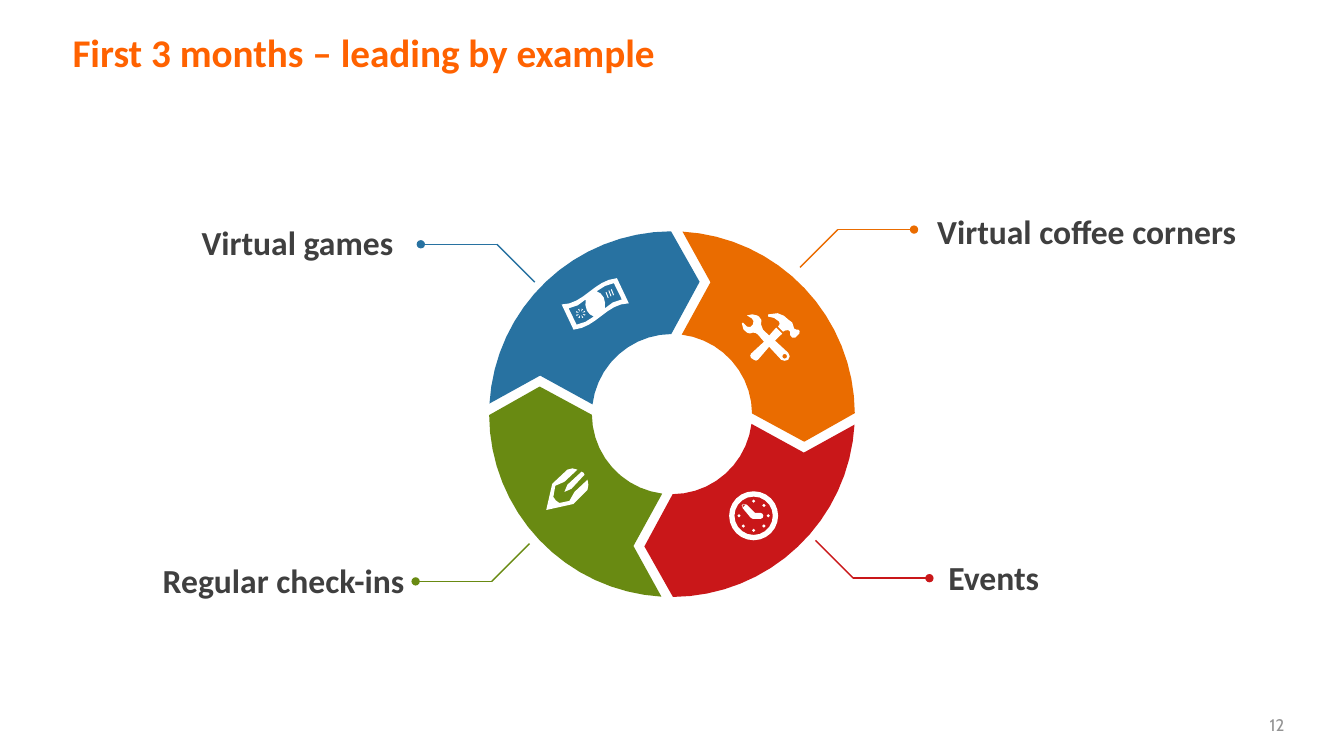
from dataclasses import dataclass
from math import cos, radians, sin

from lxml import etree
from pptx import Presentation
from pptx.dml.color import RGBColor
from pptx.enum.shapes import MSO_CONNECTOR
from pptx.enum.text import MSO_ANCHOR, MSO_AUTO_SIZE, PP_ALIGN
from pptx.oxml.ns import qn
from pptx.util import Pt

STRAIGHT = MSO_CONNECTOR.STRAIGHT
TOP, MIDDLE = MSO_ANCHOR.TOP, MSO_ANCHOR.MIDDLE
FIT_SHAPE, NO_FIT = MSO_AUTO_SIZE.SHAPE_TO_FIT_TEXT, MSO_AUTO_SIZE.NONE
LEFT, CENTER, RIGHT = PP_ALIGN.LEFT, PP_ALIGN.CENTER, PP_ALIGN.RIGHT

Point = tuple[float, float]
Contour = list[Point]

RING_CENTER = (480, 295.8)
OUTER_RADIUS, INNER_RADIUS = 130.6, 57.2
CALLOUT_RISE, CALLOUT_RUN = 27, 54.4


@dataclass
class Topic:
    label: str
    color: str
    quarter: int
    callout_start: Point
    side: int
    rise: int
    label_box: tuple[float, float, float, float]
    icon_center: Point
    icon: list[Contour]


def arc(radius: float, start: float, end: float, steps: int, center: Point = (0, 0)) -> Contour:
    angles = [radians(start + (end - start) * i / steps) for i in range(steps + 1)]
    return [(center[0] + radius * cos(a), center[1] + radius * sin(a)) for a in angles]


def circle(radius: float, steps: int, center: Point = (0, 0)) -> Contour:
    return arc(radius, 0, 360, steps, center)[:-1]


def bezier(a: Point, b: Point, c: Point, d: Point, steps: int) -> Contour:
    times = [i / steps for i in range(steps + 1)]
    return [tuple((1 - t) ** 3 * p + 3 * (1 - t) ** 2 * t * q + 3 * (1 - t) * t * t * r + t ** 3 * s
                  for p, q, r, s in zip(a, b, c, d)) for t in times]


def opposite(contour: Contour) -> Contour:
    return [(-x, -y) for x, y in contour]


def clock() -> list[Contour]:
    hands = [(5, -2), (1, -2), (-5, -8), (-7.2, -8.2), (-8.2, -6.8), (-7.8, -5.4),
             (-2, 1.5), (-0.5, 2.2), (5, 2.2), (6.6, 1.4), (6.9, 0), (6.4, -1.4)]
    dots = [circle(1.2, 4, (10.4 * cos(radians(a)), 10.4 * sin(radians(a))))
            for a in range(0, 360, 45)]
    return [circle(17.5, 24), circle(13.7, 20), hands, *dots]


def banknote() -> list[Contour]:
    edge = bezier((24, -0.4), (8.3, -0.4), (1, 16.9), (-15.5, 18.4), 8)
    window = [(-13.3, 14.8), (-7, 12.8), (-1, 9), (-3.8, 7.5), (-6, 4.7), (-7, 0.8),
              (-6.8, -3.2), (-12.5, 1), (-19, 3.2)]
    rays = []
    for angle in range(20, 380, 45):
        ux, uy = cos(radians(angle)), sin(radians(angle))
        rays.append([(-10.4 + r * ux - w * uy, 6.8 + r * uy + w * ux)
                     for r, w in ((1.4, 0), (3.4, 0.5), (3.4, -0.5))])
    bars = [[(x, y), (x + 0.6, y - 0.3), (x + 2.2, y + 3.8), (x + 1.6, y + 4.1)]
            for x, y in ((7.4, -8.2), (9.4, -9.4), (11.2, -10.2))]
    return [edge + opposite(edge), window, opposite(window), *rays, *bars]


def tools() -> list[Contour]:
    wrench = [(12.6, 11.9), (13.7, 14.4), (12.6, 16.9), (10.1, 17.6), (7.6, 16.9), (-1, 7.6),
              (-9, 16.9), (-10.4, 17.5), (-11.9, 16.9), (-14, 15.5), (-14.5, 14), (-14, 12.6),
              (-4.7, 4), (-9, -1.1), (-10.8, -2.3), (-12.6, -2.5), (-14.8, -1.9), (-16.9, -2.5),
              (-19.4, -5), (-20.5, -9), (-19.8, -9.7), (-16.9, -6.8), (-14.4, -6.5),
              (-12.6, -8.3), (-12.2, -10.8), (-13.3, -12.6), (-16.9, -14.8), (-13, -15.6),
              (-9.7, -14.8), (-8.3, -14), (-6.5, -11.5), (-6.8, -8.3), (-5.4, -4.7),
              (-1, -0.4), (4, -6.1), (8.3, -1.8), (3.2, 3.2)]
    hammer = [(20.5, -1.8), (17.6, 1.1), (15.5, 1.1), (14, -0.7), (14, -3.2), (12.6, -4.3),
              (10.4, -4), (9, -3.2), (5.4, -6.8), (6.5, -8.6), (6.1, -10.4), (2.5, -13),
              (-1.8, -14), (-1.8, -15.5), (5, -16.4), (9.5, -14.6), (12.6, -11.9), (15.5, -9.7),
              (16.9, -5.3), (18.4, -4.7), (19.8, -4.7), (20.8, -3.5)]
    return [wrench, hammer, circle(1.7, 8, (10.1, 14.4))]


def pencil() -> list[Contour]:
    body = [(-11.2, -3.6), (-0.4, -13.7), (3.2, -14.6), (6.8, -13.7), (-2.5, -5), (-9, -2.2),
            (-10.4, 5.8), (-8.6, 8.3), (-6.1, 10.1), (1.1, 8.6), (4.7, 2.2), (14, -6.5),
            (14.6, -2.9), (14, 0.7), (4, 10.8), (-15.5, 15.1)]
    stripe = [(-0.4, -2.9), (9.7, -12.2), (11.2, -11.5), (11.9, -10.1), (2.5, 0), (-2.5, 2.2)]
    return [body, stripe]


def ring_segment(quarter: int) -> Contour:
    outline = (arc(INNER_RADIUS, -83, -0.5, 10) + [(94.5, 19.7)]
               + arc(OUTER_RADIUS, -0.3, -86.7, 16) + [(27.5, -94.2)])
    for _ in range(quarter):
        outline = [(-y, x) for x, y in outline]
    return outline


def paint(color_format, hex_color: str) -> None:
    color_format.rgb = RGBColor.from_string(hex_color)


def apply(target, values: dict) -> None:
    for attribute, value in values.items():
        setattr(target, attribute, value)


def draw_outline(slide, contours: list[Contour], center: Point, color: str) -> None:
    placed = [[(Pt(center[0] + x), Pt(center[1] + y)) for x, y in c] for c in contours]
    builder = slide.shapes.build_freeform(*placed[0][0], scale=1.0)
    for index, contour in enumerate(placed):
        if index:
            builder.move_to(*contour[0])
        builder.add_line_segments(contour[1:], close=True)
    outline = builder.convert_to_shape()
    outline.shadow.inherit = False
    outline.fill.solid()
    paint(outline.fill.fore_color, color)
    outline.line.fill.background()


def draw_line(slide, start: Point, end: Point, color: str, dot: bool) -> None:
    line = slide.shapes.add_connector(STRAIGHT, *(Pt(v) for v in start + end))
    line.line.width = Pt(1)
    paint(line.line.color, color)
    properties = line._element.spPr
    if dot:
        etree.SubElement(properties.find(qn("a:ln")), qn("a:tailEnd"), type="oval")
    etree.SubElement(properties, qn("a:effectLst"))


def write(holder, text: str, box: tuple, frame: dict, paragraph: dict, font: dict, color: str) -> None:
    apply(holder, dict(zip(("left", "top", "width", "height"), map(Pt, box))))
    apply(holder.text_frame, {"word_wrap": True, **frame})
    holder.text_frame.text = text
    line = holder.text_frame.paragraphs[0]
    apply(line, paragraph)
    apply(line.runs[0].font, font)
    paint(line.runs[0].font.color, color)


def draw_topic(slide, topic: Topic) -> None:
    draw_outline(slide, [ring_segment(topic.quarter)], RING_CENTER, topic.color)
    draw_outline(slide, topic.icon, topic.icon_center, "FFFFFF")
    x, y = topic.callout_start
    bend = (x + topic.side * CALLOUT_RISE, y + topic.rise * CALLOUT_RISE)
    draw_line(slide, topic.callout_start, bend, topic.color, False)
    draw_line(slide, bend, (bend[0] + topic.side * CALLOUT_RUN, bend[1]), topic.color, True)
    label = slide.shapes.add_textbox(0, 0, 0, 0)
    write(label, topic.label, topic.label_box, {"auto_size": FIT_SHAPE},
          {"alignment": LEFT if topic.side > 0 else RIGHT},
          {"name": "Calibri", "size": Pt(24), "bold": True}, "3F3F3F")


TOPICS = [
    Topic("Virtual coffee corners", "EA6C00", 0, (571.5, 191), 1, -1,
          (662.4, 146.9, 290.9, 36), (550.4, 240.1), tools()),
    Topic("Virtual games", "2872A1", 3, (382, 201.5), -1, -1,
          (81.4, 154.8, 206.6, 36), (425.2, 217.1), banknote()),
    Topic("Events", "C91719", 1, (582.5, 386), 1, 1,
          (670.3, 394.6, 206.6, 36), (538.3, 368.4), clock()),
    Topic("Regular check-ins", "698A12", 2, (378.3, 388.3), -1, 1,
          (69.1, 396.7, 226.8, 36), (405.7, 349.2), pencil()),
]


def main() -> None:
    deck = Presentation()
    apply(deck, {"slide_width": Pt(960), "slide_height": Pt(540)})
    slide = deck.slides.add_slide(deck.slide_layouts[5])
    no_margins = dict.fromkeys(("margin_left", "margin_top", "margin_right", "margin_bottom"), 0)
    write(slide.shapes.title, "First 3 months – leading by example", (51.8, 25.9, 856, 64),
          {"vertical_anchor": TOP, "auto_size": NO_FIT, **no_margins},
          {"alignment": LEFT, "line_spacing": 0.83},
          {"name": "Calibri", "size": Pt(28), "bold": True}, "FF6200")
    for topic in TOPICS:
        draw_topic(slide, topic)
    page_number = slide.shapes.add_textbox(0, 0, 0, 0)
    write(page_number, "12", (887, 503.3, 50.4, 28.8), {"vertical_anchor": MIDDLE},
          {"alignment": CENTER}, {"name": "Cabin", "size": Pt(12)}, "939393")
    deck.save("out.pptx")


if __name__ == "__main__":
    main()
